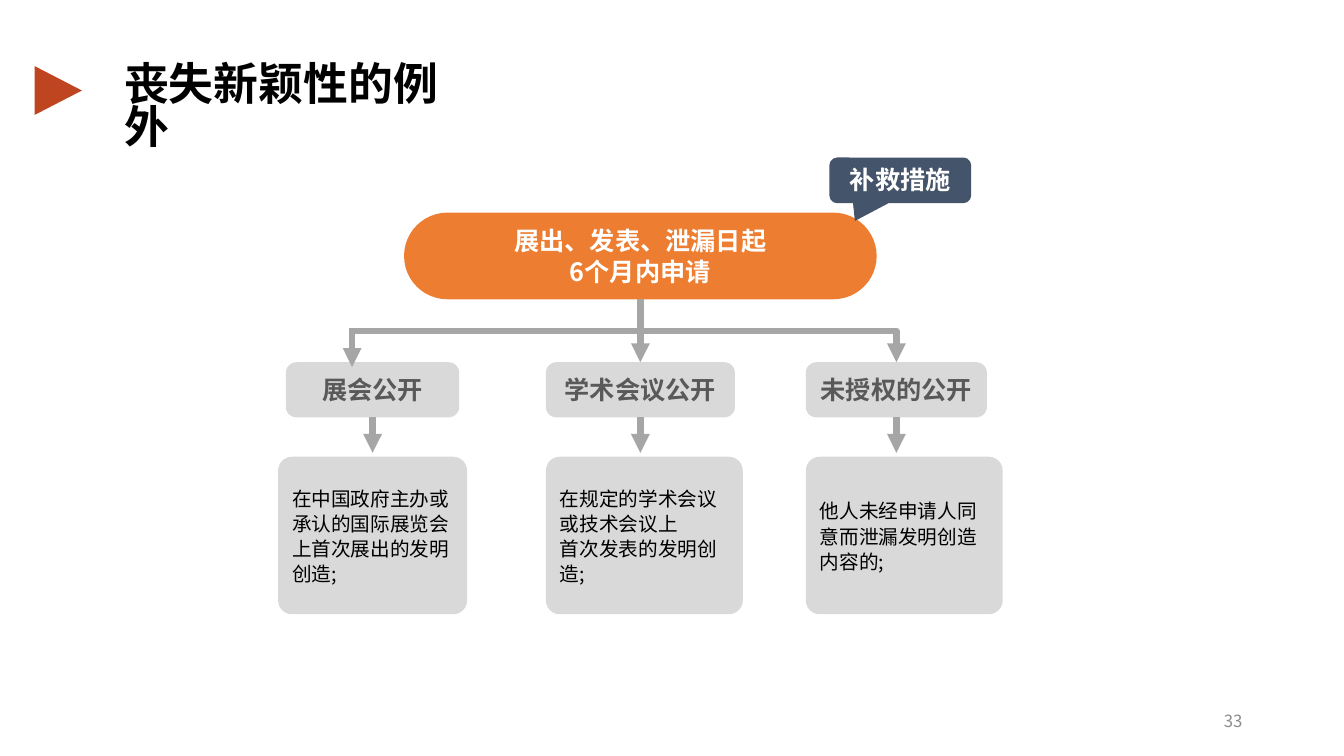
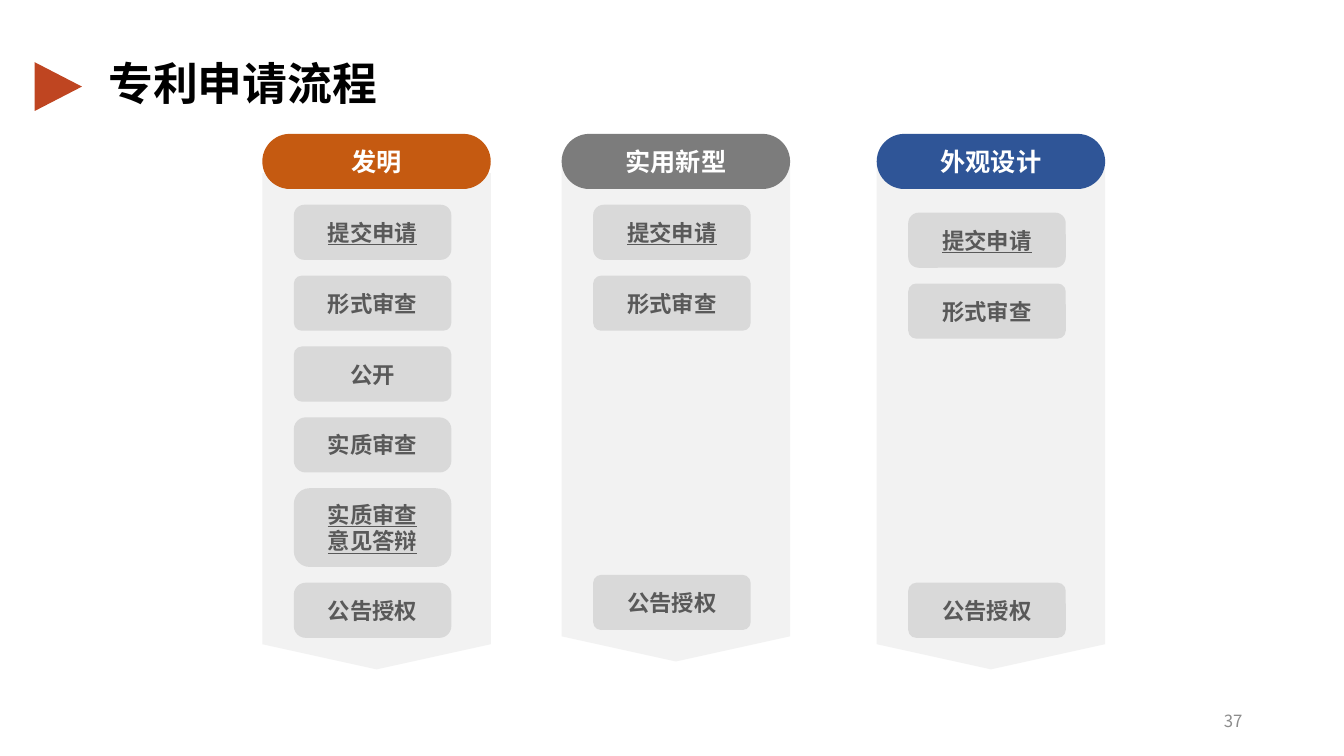
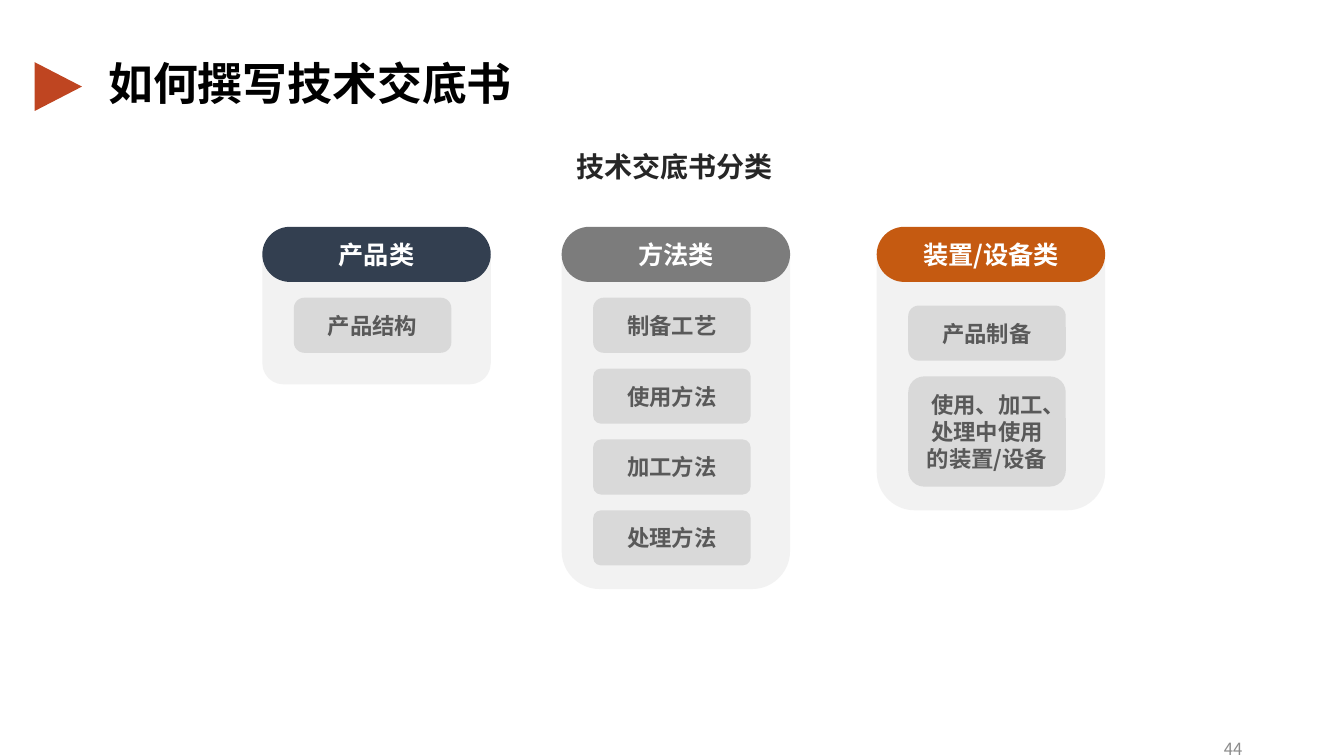
from dataclasses import dataclass
from typing import Any, NamedTuple

from lxml import etree
from pptx import Presentation
from pptx import util as u
from pptx.dml.color import RGBColor
from pptx.enum import shapes, text
from pptx.oxml.ns import qn

FONT = "Noto Sans CJK SC"
CELLS_PER_INCH = 12.8
LEFT_MARGIN = 0.3
COLOURS = {
    "black": "000000", "ink": "262626", "label": "595959", "page": "8C8C8C",
    "white": "FFFFFF", "box": "D9D9D9", "panel": "F2F2F2", "arrow": "A6A6A6",
    "orange": "ED7D31", "rust": "C55A11", "grey": "7C7C7C", "blue": "2F5597",
    "navy": "333F50", "slate": "44546A", "mark": "BF4521",
}
ROUND = shapes.MSO_SHAPE.ROUNDED_RECTANGLE
ALIGN = text.PP_ALIGN
ANCHOR = text.MSO_ANCHOR


class Box(NamedTuple):
    column: float
    row: float
    columns: float
    rows: float


class TextStyle(NamedTuple):
    font: dict[str, Any]
    colour: str
    paragraph: dict[str, Any]
    frame: dict[str, Any]


MIDDLE = {"vertical_anchor": ANCHOR.MIDDLE, "word_wrap": True}
GROWING = {"vertical_anchor": ANCHOR.TOP, "word_wrap": True,
           "auto_size": text.MSO_AUTO_SIZE.SHAPE_TO_FIT_TEXT}
CENTRED = {"alignment": ALIGN.CENTER}
STYLES = {
    "title": TextStyle({"size": u.Pt(32), "bold": True}, "black",
                       {"alignment": ALIGN.LEFT, "line_spacing": 0.8}, GROWING),
    "caption": TextStyle({"size": u.Pt(20), "bold": True}, "ink", CENTRED, GROWING),
    "page": TextStyle({"size": u.Pt(12)}, "page", {"alignment": ALIGN.RIGHT}, MIDDLE),
    "heading": TextStyle({"size": u.Pt(18), "bold": True}, "white", CENTRED, MIDDLE),
    "callout": TextStyle({"size": u.Pt(18), "bold": True}, "white", CENTRED, GROWING),
    "case": TextStyle({"size": u.Pt(18), "bold": True}, "label", CENTRED, MIDDLE),
    "step": TextStyle({"size": u.Pt(16), "bold": True}, "label", CENTRED, MIDDLE),
    "linked step": TextStyle({"size": u.Pt(16), "bold": True, "underline": True},
                             "label", CENTRED, MIDDLE),
    "detail": TextStyle({"size": u.Pt(14)}, "black",
                        {"alignment": ALIGN.LEFT, "line_spacing": u.Pt(18)}, MIDDLE),
}


@dataclass(frozen=True)
class Case:
    name: str
    name_column: float
    name_columns: float
    detail: str
    detail_column: float
    detail_columns: float


@dataclass(frozen=True)
class Step:
    label: str
    row: float
    rows: float = 7
    corner: float = 0.144
    style: str = "step"


@dataclass(frozen=True)
class Track:
    heading: str
    column: float
    colour: str
    panel_row: float
    panel_rows: float
    steps: tuple[Step, ...]


class PanelKind(NamedTuple):
    preset: Any
    rotation: int
    adjustments: tuple[float, ...]


ARROW_PANEL = PanelKind(shapes.MSO_SHAPE.PENTAGON, 90, (0.11,))
ROUND_PANEL = PanelKind(shapes.MSO_SHAPE.ROUND_2_SAME_RECTANGLE, 180, ())

CASES = (
    Case("展会公开", 36, 22, "在中国政府主办或承认的国际展览会上首次展出的发明创造;", 35, 24),
    Case("学术会议公开", 69, 24, "在规定的学术会议或技术会议上\n首次发表的发明创造;", 69, 25),
    Case("未授权的公开", 102, 23, "他人未经申请人同意而泄漏发明创造内容的;", 102, 25),
)
PATENT_TRACKS = (
    Track("发明", 33, "rust", 5, 63, (
        Step("提交申请", 9, corner=0.191, style="linked step"),
        Step("形式审查", 18),
        Step("公开", 27),
        Step("实质审查", 36, corner=0.215),
        Step("实质审查\n意见答辩", 45, 10, 0.201, "linked step"),
        Step("公告授权", 57, corner=0.215))),
    Track("实用新型", 71, "grey", 3, 64, (
        Step("提交申请", 9, corner=0.191, style="linked step"),
        Step("形式审查", 18),
        Step("公告授权", 56))),
    Track("外观设计", 111, "blue", 3, 65, (
        Step("提交申请", 10, corner=0.191, style="linked step"),
        Step("形式审查", 19),
        Step("公告授权", 57))),
)
DISCLOSURE_TRACKS = (
    Track("产品类", 33, "navy", 4, 16, (Step("产品结构", 9, corner=0.191),)),
    Track("方法类", 71, "grey", 3, 43, (
        Step("制备工艺", 9, corner=0.191),
        Step("使用方法", 18),
        Step("加工方法", 27),
        Step("处理方法", 36))),
    Track("装置/设备类", 111, "rust", 3, 33, (
        Step("产品制备", 10, corner=0.191),
        Step("使用、加工、处理中使用的装置/设备", 19, 14))),
)


def colour(name: str) -> RGBColor:
    return RGBColor.from_string(COLOURS[name])


def cells(count: float) -> int:
    return u.Inches(count / CELLS_PER_INCH)


def across(column: float) -> int:
    return cells(column + LEFT_MARGIN)


def place(box: Box) -> tuple[int, int, int, int]:
    return across(box.column), cells(box.row), cells(box.columns), cells(box.rows)


def apply(target: Any, values: dict[str, Any]) -> None:
    for name, value in values.items():
        setattr(target, name, value)


def write(shape: Any, content: str, style_name: str) -> None:
    style = STYLES[style_name]
    frame = shape.text_frame
    apply(frame, style.frame)
    for index, line in enumerate(content.split("\n")):
        paragraph = frame.add_paragraph() if index else frame.paragraphs[0]
        apply(paragraph, style.paragraph)
        run = paragraph.add_run()
        run.text = line
        apply(run.font, {"name": FONT, **style.font})
        run.font.color.rgb = colour(style.colour)
        latin = run.font._element.find(qn("a:latin"))
        east_asian = etree.Element(qn("a:ea"), typeface=FONT)
        latin.addnext(east_asian)


def add_text(slide: Any, box: Box, content: str, style: str) -> None:
    write(slide.shapes.add_textbox(*place(box)), content, style)


def add_block(slide: Any, preset: Any, box: Box, fill: str,
              adjustments: tuple[float, ...] = (), rotation: int = 0) -> Any:
    if rotation == 90:
        column = box.column + (box.columns - box.rows) / 2
        row = box.row + (box.rows - box.columns) / 2
        box = Box(column, row, box.rows, box.columns)
    shape = slide.shapes.add_shape(preset, *place(box))
    shape.rotation = rotation
    shape.shadow.inherit = False
    shape.fill.solid()
    shape.fill.fore_color.rgb = colour(fill)
    shape.line.fill.background()
    for index, value in enumerate(adjustments):
        shape.adjustments[index] = value
    return shape


def add_label(slide: Any, box: Box, fill: str, corner: float, content: str, style: str) -> Any:
    shape = add_block(slide, ROUND, box, fill, (corner,))
    write(shape, content, style)
    return shape


def add_arrow(slide: Any, start: tuple[float, float], end: tuple[float, float],
              bent: bool = False) -> Any:
    kind = shapes.MSO_CONNECTOR.ELBOW if bent else shapes.MSO_CONNECTOR.STRAIGHT
    arrow = slide.shapes.add_connector(
        kind, across(start[0]), cells(start[1]), across(end[0]), cells(end[1]))
    arrow.line.color.rgb = colour("arrow")
    arrow.line.width = u.Pt(4.5)
    properties = arrow._element.spPr
    if bent:
        properties.find(qn("a:prstGeom")).set("prst", "bentConnector2")
    etree.SubElement(properties.find(qn("a:ln")), qn("a:tailEnd"), type="triangle")
    etree.SubElement(properties, qn("a:effectLst"))
    return arrow


def start_slide(presentation: Any, title: str, number: int,
                title_box: Box = Box(12.2, 7.8, 85.4, 6.8),
                mark_row: float = 7.9, number_row: float = 89) -> Any:
    slide = presentation.slides.add_slide(presentation.slide_layouts[6])
    add_block(slide, shapes.MSO_SHAPE.ISOSCELES_TRIANGLE,
              Box(4.1, mark_row, 6, 6.2), "mark", rotation=90)
    add_text(slide, title_box, title, "title")
    add_text(slide, Box(120.3, number_row, 38.4, 5.1), str(number), "page")
    return slide


def add_track(slide: Any, track: Track, top: float, panel: PanelKind) -> None:
    add_block(slide, panel.preset,
              Box(track.column, top + track.panel_row, 29, track.panel_rows),
              "panel", panel.adjustments, panel.rotation)
    add_label(slide, Box(track.column, top, 29, 7), track.colour, 0.5,
              track.heading, "heading")
    for step in track.steps:
        add_label(slide, Box(track.column + 4, top + step.row, 20, step.rows),
                  "box", step.corner, step.label, step.style)


def build_exceptions(presentation: Any) -> None:
    slide = start_slide(presentation, "丧失新颖性的例外", 33,
                        Box(14.2, 7.8, 47, 6.8), mark_row=8.4)
    names = []
    for case in CASES:
        add_label(slide, Box(case.detail_column, 58, case.detail_columns, 20),
                  "box", 0.088, case.detail, "detail")
        name = add_label(slide, Box(case.name_column, 46, case.name_columns, 7),
                         "box", 0.191, case.name, "case")
        centre = case.name_column + case.name_columns / 2
        add_arrow(slide, (centre, 53), (centre, 57.5)).begin_connect(name, 2)
        names.append(name)
    add_arrow(slide, (44, 42), (113.5, 46), bent=True)
    add_arrow(slide, (44.4, 42), (44.4, 46.6))
    deadline = add_label(slide, Box(51, 27, 60, 11), "orange", 0.5,
                         "展出、发表、泄漏日起\n6个月内申请", "heading")
    trunk = add_arrow(slide, (81, 38), (81, 46))
    trunk.begin_connect(deadline, 2)
    trunk.end_connect(names[1], 0)
    remedy = add_block(slide, shapes.MSO_SHAPE.ROUNDED_RECTANGULAR_CALLOUT,
                       Box(105, 20, 18, 5.8), "slate", (-0.32, 0.89, 0.17))
    write(remedy, "补救措施", "callout")


def build_procedure(presentation: Any) -> None:
    slide = start_slide(presentation, "专利申请流程", 37)
    for track in PATENT_TRACKS:
        add_track(slide, track, 17, ARROW_PANEL)


def build_disclosure(presentation: Any) -> None:
    slide = start_slide(presentation, "如何撰写技术交底书", 44, number_row=92.6)
    add_text(slide, Box(41.8, 18.3, 87, 5.6), "技术交底书分类", "caption")
    for track in DISCLOSURE_TRACKS:
        add_track(slide, track, 28.8, ROUND_PANEL)


def main() -> None:
    presentation = Presentation()
    presentation.slide_width = u.Inches(13.33)
    presentation.slide_height = u.Inches(7.5)
    for build in (build_exceptions, build_procedure, build_disclosure):
        build(presentation)
    presentation.save("out.pptx")


if __name__ == "__main__":
    main()
